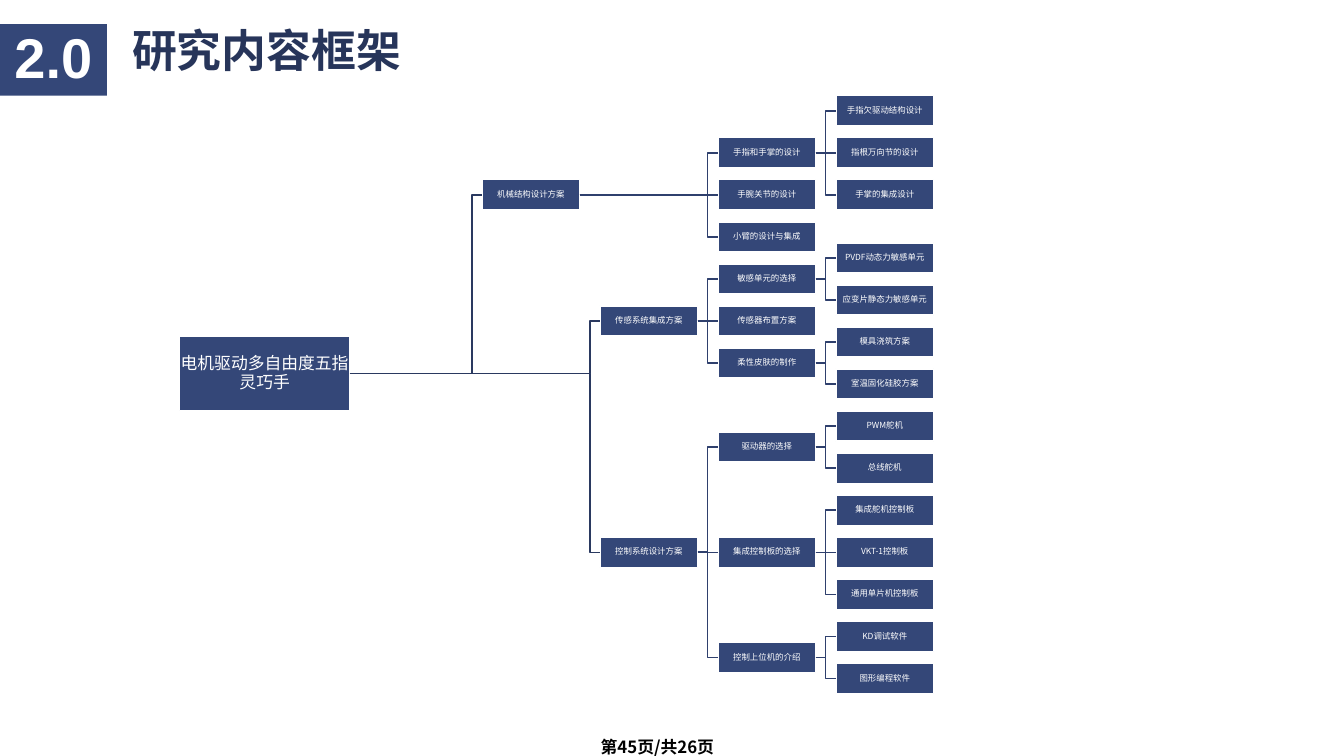
from collections import Counter
from dataclasses import dataclass
from lxml.etree import SubElement
from pptx import Presentation
from pptx.dml.color import RGBColor as RGB
from pptx.enum.shapes import MSO_CONNECTOR as LINE, MSO_SHAPE as SHAPE
from pptx.enum.text import MSO_ANCHOR as ANCHOR, MSO_AUTO_SIZE as FIT, PP_ALIGN as ALIGN
from pptx.oxml.ns import qn
from pptx.util import Inches, Pt

TITLE, NUMBER, PAGE = "研究内容框架", "2.0", "第45页/共26页"
TREE = ("电机驱动多自由度五指灵巧手", 0, [
    ("机械结构设计方案", 1, [
        ("手指和手掌的设计", 3, [
            ("手指欠驱动结构设计", 4, []),
            ("指根万向节的设计", 4, []),
            ("手掌的集成设计", 4, [])]),
        ("手腕关节的设计", 3, []),
        ("小臂的设计与集成", 3, [])]),
    ("传感系统集成方案", 2, [
        ("敏感单元的选择", 3, [
            ("PVDF动态力敏感单元", 4, []),
            ("应变片静态力敏感单元", 4, [])]),
        ("传感器布置方案", 3, []),
        ("柔性皮肤的制作", 3, [
            ("模具浇筑方案", 4, []),
            ("室温固化硅胶方案", 4, [])])]),
    ("控制系统设计方案", 2, [
        ("驱动器的选择", 3, [
            ("PWM舵机", 4, []),
            ("总线舵机", 4, [])]),
        ("集成控制板的选择", 3, [
            ("集成舵机控制板", 4, []),
            ("VKT-1控制板", 4, []),
            ("通用单片机控制板", 4, [])]),
        ("控制上位机的介绍", 3, [
            ("KD调试软件", 4, []),
            ("图形编程软件", 4, [])])])])


@dataclass(frozen=True)
class Theme:
    """Colours, fonts and type sizes."""
    navy: RGB = RGB.from_string("344778")
    ink: RGB = RGB.from_string("27355A")
    trunk: RGB = RGB.from_string("2A3960")
    twig: RGB = RGB.from_string("2F406D")
    white: RGB = RGB.from_string("FFFFFF")
    black: RGB = RGB.from_string("000000")
    han: str = "Noto Sans CJK SC"
    latin: str = "Arial"
    head: int = 32
    number: int = 40
    root: int = 12
    node: int = 6


LOOK = Theme()
FIRST, ROW = 1.1, 0.417
LAST, STEP = 8.29, 1.17
ROOT, ROOT_W, ROOT_H = 1.78, 1.69, 0.73
WIDE, HIGH, STUB = 0.97, 0.3, 0.1


def write(shape, text, size, color, face=LOOK.han, bold=False,
          align=ALIGN.CENTER, anchor=ANCHOR.MIDDLE, space=0.9):
    """Fill a shape with one styled paragraph."""
    frame = shape.text_frame
    frame.word_wrap, frame.auto_size = True, FIT.NONE
    frame.vertical_anchor = anchor
    para = frame.paragraphs[0]
    para.text, para.alignment, para.line_spacing = text, align, space
    font = para.font
    font.size, font.bold, font.name = Pt(size), bold, face
    font.color.rgb = color
    SubElement(para._p.pPr.find(qn("a:defRPr")), qn("a:ea"), typeface=face)
    return frame


def block(shapes, left, top, width, height):
    """Add a navy rectangle."""
    box = shapes.add_shape(SHAPE.RECTANGLE, *map(Inches, (left, top, width, height)))
    box.shadow.inherit = False
    box.fill.solid()
    box.fill.fore_color.rgb = LOOK.navy
    box.line.fill.background()
    return box


def link(shapes, start, end, color):
    """Join a parent box to a child box, straight or with a bend."""
    x, y = start.left + start.width, start.top + start.height // 2
    far, low = end.left, end.top + end.height // 2
    if abs(y - low) < Inches(0.01):
        line = shapes.add_connector(LINE.STRAIGHT, x, y, far, low)
        line.begin_connect(start, 3)
        line.end_connect(end, 1)
        SubElement(line._element.spPr, qn("a:effectLst"))
    else:
        bend = far - Inches(STUB)
        path = shapes.build_freeform(x, y)
        path.add_line_segments([(bend, y), (bend, low), (far, low)], close=False)
        line = path.convert_to_shape()
        line.fill.background()
        line.shadow.inherit = False
    line.line.color.rgb, line.line.width = color, Pt(1)


def grow(shapes, node, floor):
    """Draw a branch below the rows in use; return its row and box."""
    text, col, kids = node
    row, boxes = floor[col], []
    if kids:
        below = kids[0][1]
        floor[below] = max(floor[below], row - (len(kids) - 1) / 2)
        grown = [grow(shapes, kid, floor) for kid in kids]
        row = (grown[0][0] + grown[-1][0]) / 2
        boxes = [box for _, box in grown]
    floor[col] = row + 1
    left, wide, high, size = LAST - (4 - col) * STEP, WIDE, HIGH, LOOK.node
    if col == 0:
        left, wide, high, size = ROOT, ROOT_W, ROOT_H, LOOK.root
    box = block(shapes, left, FIRST + row * ROW - high / 2, wide, high)
    box.line.color.rgb, box.line.width = LOOK.white, Pt(1)
    frame = write(box, text, size, LOOK.white)
    frame.margin_left = frame.margin_right = frame.margin_top = frame.margin_bottom = 0
    for kid in boxes:
        link(shapes, box, kid, LOOK.twig if col else LOOK.trunk)
    return row, box


def main():
    """Build and save the slide."""
    deck = Presentation()
    deck.slide_width, deck.slide_height = Inches(13.33), Inches(7.5)
    shapes = deck.slides.add_slide(deck.slide_layouts[5]).shapes
    title = shapes.title
    title.left, title.top, title.width, title.height = map(Inches, (1.21, 0.24, 7.04, 0.71))
    write(title, TITLE, LOOK.head, LOOK.ink, bold=True, align=ALIGN.LEFT, anchor=ANCHOR.TOP)
    write(block(shapes, 0, 0.24, 1.06, 0.71), NUMBER, LOOK.number, LOOK.white,
          LOOK.latin, bold=True)
    page = shapes.add_textbox(*map(Inches, (5.02, 7.26, 3, 0.4)))
    write(page, PAGE, LOOK.root, LOOK.black, bold=True, anchor=ANCHOR.TOP, space=1)
    grow(shapes, TREE, Counter())
    deck.save("out.pptx")


if __name__ == "__main__":
    main()
